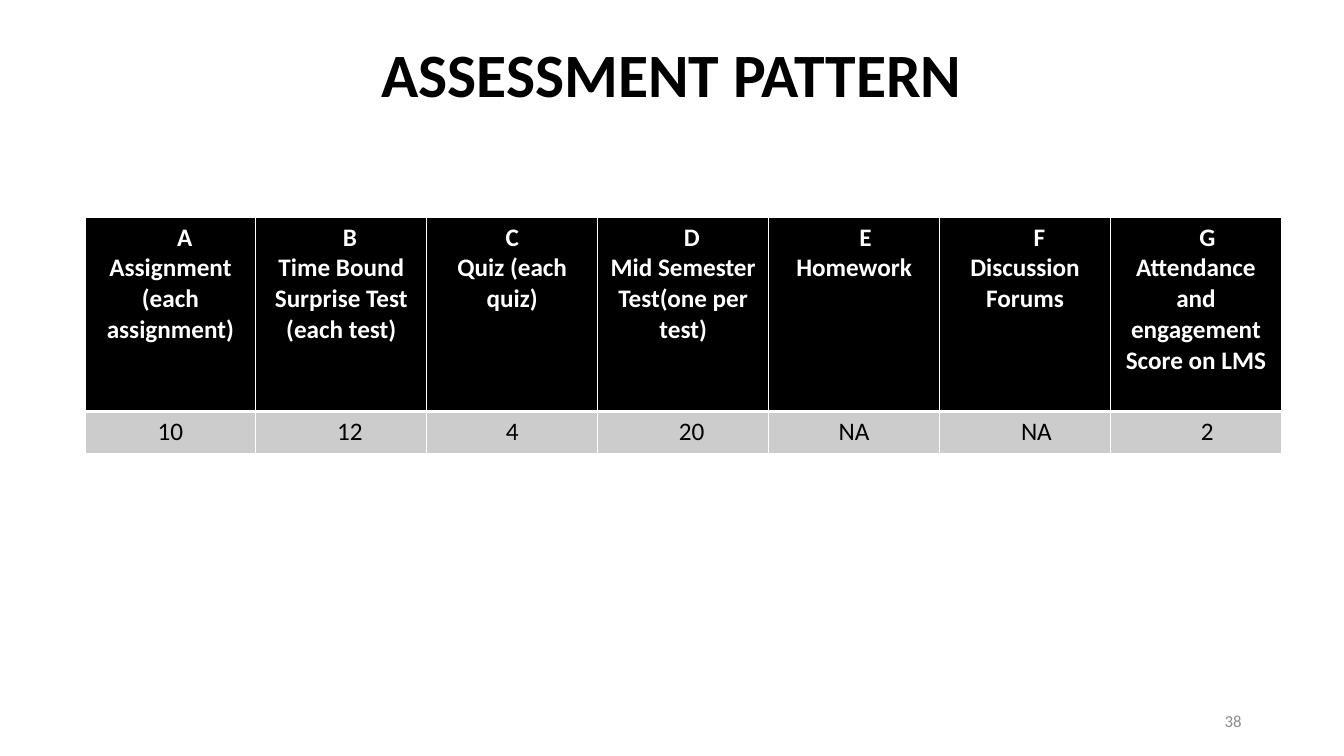
"""Build the assessment pattern slide."""
import pptx
import pptx.dml.color
import pptx.enum.text
import pptx.oxml
import pptx.oxml.ns
import pptx.util

Pt = pptx.util.Pt
ALIGN = pptx.enum.text.PP_ALIGN
COLOURS = {"black": "000000", "white": "FFFFFF", "band": "CCCCCC", "number": "8C8C8C"}
SPACE = 4.07
COMPONENTS = [
    ("A", 5, "Assignment (each assignment)", "10", 0),
    ("B", 3, "Time Bound Surprise Test (each test)", "12", 3),
    ("C", 0, "Quiz (each quiz)", "4", 0),
    ("D", 3, "Mid Semester Test(one per test)", "20", 3),
    ("E", 4, "Homework", "NA", 0),
    ("F", 5, "Discussion Forums", "NA", 4),
    ("G", 4, "Attendance and engagement Score on LMS", "2", 4),
]
HEADER = {"size": Pt(18), "bold": True, "colour": "white"}
SCORE = {"size": Pt(18), "bold": False, "colour": "black"}
TITLE = {"size": Pt(44), "bold": True, "colour": "black"}
NUMBER = {"size": Pt(12), "bold": False, "colour": "number"}


def rgb(name):
    return pptx.dml.color.RGBColor.from_string(COLOURS[name])


def write(para, text, style, align=ALIGN.CENTER, indent=0):
    if indent:
        para._p.get_or_add_pPr().set("marL", str(Pt(indent)))
    para.alignment = align
    span = para.add_run()
    span.text = text
    for key, value in style.items():
        if key == "colour":
            span.font.color.rgb = rgb(value)
        else:
            setattr(span.font, key, value)
    span.font.name = "Calibri"


def add_text(page, place, text, style, align, spacing=1.0):
    box = page.shapes.add_textbox(*(Pt(length) for length in place))
    box.text_frame.word_wrap = True
    box.text_frame.vertical_anchor = pptx.enum.text.MSO_ANCHOR.MIDDLE
    para = box.text_frame.paragraphs[0]
    para.line_spacing = spacing
    write(para, text, style, align)


def paint_cell(cell, fill, borders):
    properties = cell._tc.get_or_add_tcPr()
    for side, width in borders.items():
        properties.append(pptx.oxml.parse_xml(
            f'<a:ln{side} {pptx.oxml.ns.nsdecls("a")} w="{Pt(width)}"><a:solidFill>'
            f'<a:srgbClr val="{COLOURS["white"]}"/></a:solidFill></a:ln{side}>'))
    cell.fill.solid()
    cell.fill.fore_color.rgb = rgb(fill)


def add_assessment_table(page):
    column_width, row_heights = 122.1, (139, 30)
    count = len(COMPONENTS)
    table = page.shapes.add_table(
        2, count, Pt(60.7), Pt(155), Pt(column_width * count), Pt(sum(row_heights))).table
    for row, height in zip(table.rows, row_heights):
        row.height = Pt(height)
    for index, (letter, shift, name, score, score_shift) in enumerate(COMPONENTS):
        table.columns[index].width = Pt(column_width)
        head, body = table.cell(0, index), table.cell(1, index)
        write(head.text_frame.paragraphs[0], letter, HEADER, indent=shift * SPACE)
        write(head.text_frame.add_paragraph(), name, HEADER)
        write(body.text_frame.paragraphs[0], score, SCORE, indent=score_shift * SPACE)
        paint_cell(head, "black", {"L": 1, "R": 1, "T": 1, "B": 3})
        paint_cell(body, "band", {"L": 1, "R": 1, "T": 3, "B": 1})


def main():
    deck = pptx.Presentation()
    deck.slide_width, deck.slide_height = Pt(960), Pt(540)
    page = deck.slides.add_slide(deck.slide_layouts[6])
    add_text(page, (66, 3, 828, 104.4), "ASSESSMENT PATTERN", TITLE, ALIGN.CENTER, 0.9)
    add_text(page, (678, 500.5, 216, 28.8), "38", NUMBER, ALIGN.RIGHT)
    add_assessment_table(page)
    deck.save("out.pptx")


if __name__ == "__main__":
    main()
